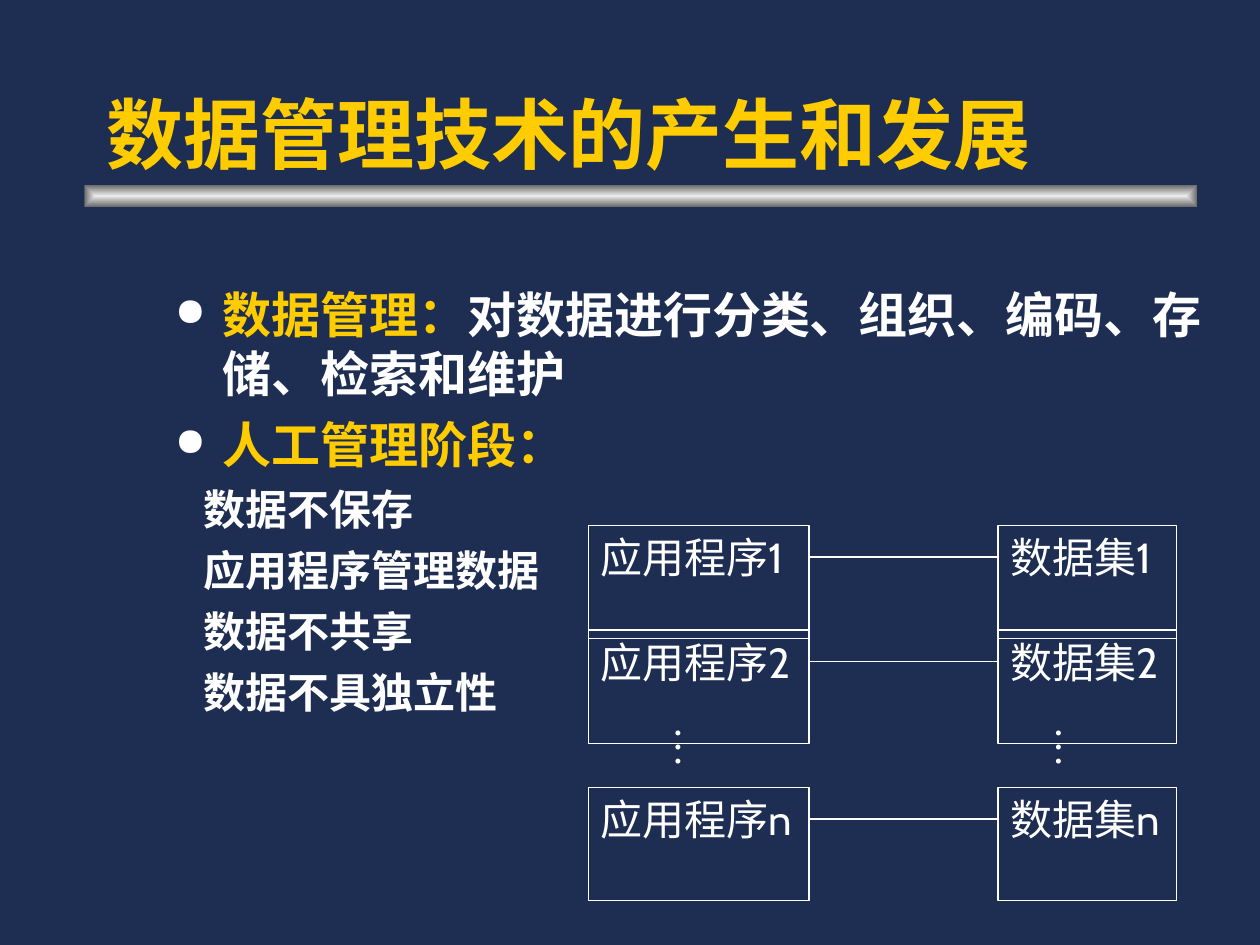
from dataclasses import dataclass

from lxml import etree
from pptx import Presentation
from pptx.dml.color import RGBColor
from pptx.enum.shapes import MSO_CONNECTOR, MSO_SHAPE
from pptx.enum.text import MSO_ANCHOR, MSO_AUTO_SIZE, PP_ALIGN
from pptx.oxml.ns import qn
from pptx.util import Inches, Pt

RECT = MSO_SHAPE.RECTANGLE
STRAIGHT = MSO_CONNECTOR.STRAIGHT
TOP, BOTTOM = MSO_ANCHOR.TOP, MSO_ANCHOR.BOTTOM
LEFT = PP_ALIGN.LEFT
GROW = MSO_AUTO_SIZE.SHAPE_TO_FIT_TEXT

COLORS = {
    "background": "1E2E53",
    "accent": "FFCC00",
    "text": "FFFFFF",
    "bar_light": "EAEAEA",
    "bar_dark": "6C6C6C",
}
BOX_HEIGHT = 0.9
LINK_DROP = 0.25


@dataclass
class Column:
    label: str
    left: float
    width: float
    dots_left: float


@dataclass
class Row:
    suffix: str
    top: float


@dataclass
class Item:
    runs: list[tuple[str, str]]
    size: int
    before: int
    margin: float
    bullet: bool = False


PROGRAM = Column("应用程序", 4.67, 1.75, 5.15)
DATASET = Column("数据集", 7.92, 1.42, 8.17)
ROWS = [Row("1", 4.17), Row("2", 5), Row("n", 6.25)]

TOPICS = [
    [("数据管理：", "accent"), ("对数据进行分类、组织、编码、存储、检索和维护", "text")],
    [("人工管理阶段：", "accent")],
]
TRAITS = ["数据不保存", "应用程序管理数据", "数据不共享", "数据不具独立性"]
ITEMS = [Item(runs, 28, 7, 0.38, True) for runs in TOPICS]
ITEMS += [Item([(trait, "text")], 24, 6, 0.23) for trait in TRAITS]


def rgb(name: str) -> RGBColor:
    return RGBColor.from_string(COLORS[name])


def add_run(p, text: str, size: int, color: str, font: str, bold: bool = False) -> None:
    r = p.add_run()
    r.text = text
    r.font.color.rgb = rgb(color)
    for name, value in {"size": Pt(size), "name": font, "bold": bold}.items():
        setattr(r.font, name, value)


def add_text_box(slide, left: float, top: float, width: float, height: float, anchor=TOP):
    tb = slide.shapes.add_textbox(Inches(left), Inches(top), Inches(width), Inches(height))
    tf = tb.text_frame
    tf.word_wrap = True
    tf.vertical_anchor = anchor
    return tf


def add_bar(slide) -> None:
    """Draw the title rule, shaded from a light centre to dark edges."""
    bar = slide.shapes.add_shape(RECT, Inches(0.67), Inches(1.47), Inches(8.83), Inches(0.17))
    bar.shadow.inherit = False
    bar.line.fill.background()
    bar.fill.gradient()
    for stop, color in zip(bar.fill.gradient_stops, ("bar_light", "bar_dark")):
        stop.color.rgb = rgb(color)
    grad = bar.fill.gradient_stops[0]._gs.getparent().getparent()
    grad.remove(grad.find(qn("a:lin")))
    shade = etree.SubElement(grad, qn("a:path"), {"path": "rect"})
    etree.SubElement(shade, qn("a:fillToRect"), {side: "50000" for side in "ltrb"})


def add_bullet(p) -> None:
    pPr = p._p.get_or_add_pPr()
    color = etree.SubElement(pPr, qn("a:buClr"))
    etree.SubElement(color, qn("a:srgbClr"), {"val": COLORS["text"]})
    etree.SubElement(pPr, qn("a:buSzPct"), {"val": "80000"})
    etree.SubElement(pPr, qn("a:buChar"), {"char": "●"})


def add_items(slide, items: list[Item]) -> None:
    tf = add_text_box(slide, 1.29, 2.21, 8.5, 4.96)
    for i, item in enumerate(items):
        p = tf.add_paragraph() if i else tf.paragraphs[0]
        p.space_before = Pt(item.before)
        pPr = p._p.get_or_add_pPr()
        pPr.set("marL", str(Inches(item.margin)))
        if item.bullet:
            pPr.set("indent", str(-Inches(item.margin)))
            add_bullet(p)
        for text, color in item.runs:
            add_run(p, text, item.size, color, "Arial", True)


def add_box(slide, column: Column, row: Row) -> None:
    s = slide.shapes.add_shape(
        RECT, Inches(column.left), Inches(row.top), Inches(column.width), Inches(BOX_HEIGHT)
    )
    s.shadow.inherit = False
    s.fill.background()
    s.line.color.rgb = rgb("text")
    s.line.width = Pt(0.75)
    tf = s.text_frame
    tf.word_wrap = True
    tf.vertical_anchor = TOP
    p = tf.paragraphs[0]
    p.alignment = LEFT
    add_run(p, column.label + row.suffix, 24, "text", "Cabin")


def add_link(slide, row: Row) -> None:
    y = Inches(row.top + LINK_DROP)
    start = Inches(PROGRAM.left + PROGRAM.width)
    link = slide.shapes.add_connector(STRAIGHT, start, y, Inches(DATASET.left), y)
    link.line.color.rgb = rgb("text")
    link.line.width = Pt(0.75)
    etree.SubElement(link._element.spPr, qn("a:effectLst"))


def add_dots(slide, column: Column) -> None:
    """Put a vertical ellipsis between the second and last rows."""
    tf = add_text_box(slide, column.dots_left, 5.67, 0.6, 0.5)
    tf.auto_size = GROW
    tf._txBody.bodyPr.set("vert", "eaVert")
    margins = {"margin_left": 0.05, "margin_right": 0.05, "margin_top": 0.1, "margin_bottom": 0.1}
    for name, value in margins.items():
        setattr(tf, name, Inches(value))
    p = tf.paragraphs[0]
    p.space_before = Pt(15)
    add_run(p, "…", 24, "text", "Times New Roman")


def main() -> None:
    prs = Presentation()
    prs.slide_width, prs.slide_height = Inches(10), Inches(7.5)
    slide = prs.slides.add_slide(prs.slide_layouts[6])
    slide.background.fill.solid()
    slide.background.fill.fore_color.rgb = rgb("background")

    add_bar(slide)
    title = add_text_box(slide, 0.75, 0.25, 8.5, 1.22, BOTTOM)
    add_run(title.paragraphs[0], "数据管理技术的产生和发展", 44, "accent", "Arial", True)
    add_items(slide, ITEMS)
    for row in ROWS:
        for column in (PROGRAM, DATASET):
            add_box(slide, column, row)
        add_link(slide, row)
    for column in (PROGRAM, DATASET):
        add_dots(slide, column)

    prs.save("out.pptx")


if __name__ == "__main__":
    main()
